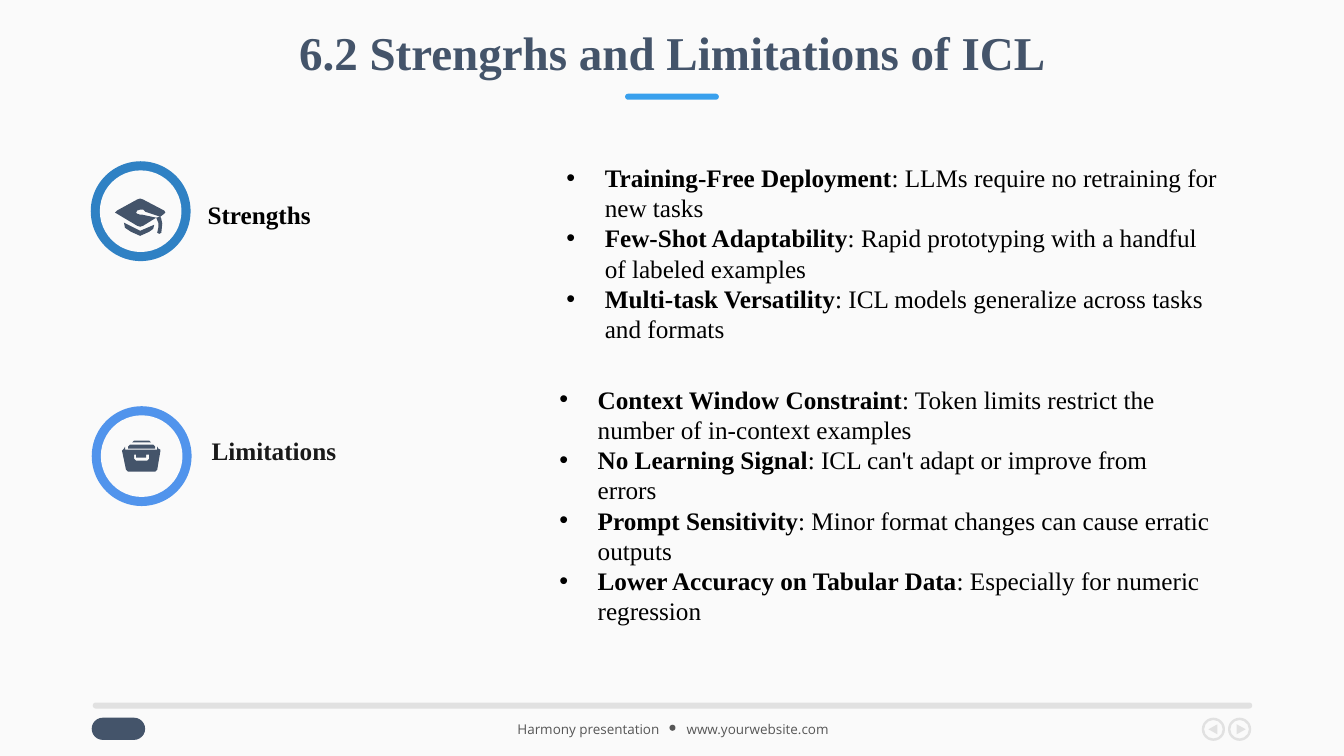
from dataclasses import dataclass

from lxml.etree import SubElement
from pptx import Presentation
from pptx.dml.color import RGBColor
from pptx.enum.shapes import MSO_SHAPE
from pptx.enum.text import MSO_ANCHOR, MSO_AUTO_SIZE, PP_ALIGN
from pptx.oxml.ns import qn
from pptx.shapes.autoshape import Shape
from pptx.slide import Slide
from pptx.text.text import TextFrame
from pptx.util import Emu, Pt

PX = 9144
SLATE, PAPER, SILVER, GREY, BLACK = "44546A", "FAFAFA", "E1E1E1", "565656", "000000"
SERIF, SANS = "Times New Roman", "Open Sans"
INDENT = 38

Contour = list[tuple[int, int]]


@dataclass
class Box:
    left: int
    top: int
    width: int
    height: int


@dataclass
class Preset:
    kind: MSO_SHAPE
    box: Box
    color: str
    adjustment: float | None = None
    rotation: int = 0


@dataclass
class Label:
    text: str
    box: Box
    size: float
    color: str
    font: str = SERIF
    bold: bool = True
    align: PP_ALIGN = PP_ALIGN.LEFT
    spacing: float | None = None
    anchor: MSO_ANCHOR = MSO_ANCHOR.TOP
    inset: int = 10


@dataclass
class Point:
    term: str
    detail: str


@dataclass
class Section:
    heading: Label
    ring: Box
    ring_color: str
    icon: list[Contour]
    body: Box
    points: list[Point]


def px(length: int) -> Emu:
    return Emu(length * PX)


def rgb(color: str) -> RGBColor:
    return RGBColor.from_string(color)


def paint(shape: Shape, color: str) -> None:
    shape.shadow.inherit = False
    shape.fill.solid()
    shape.fill.fore_color.rgb = rgb(color)
    shape.line.fill.background()


def place(box: Box) -> tuple[Emu, Emu, Emu, Emu]:
    return px(box.left), px(box.top), px(box.width), px(box.height)


def draw_preset(slide: Slide, preset: Preset) -> None:
    shape = slide.shapes.add_shape(preset.kind, *place(preset.box))
    paint(shape, preset.color)
    shape.rotation = preset.rotation
    if preset.adjustment is not None:
        shape.adjustments[0] = preset.adjustment


def draw_icon(slide: Slide, contours: list[Contour]) -> None:
    builder = slide.shapes.build_freeform(*contours[0][0], scale=PX)
    for contour in contours:
        builder.move_to(*contour[0])
        builder.add_line_segments(contour[1:], close=True)
    paint(builder.convert_to_shape(), SLATE)


def add_frame(slide: Slide, box: Box) -> TextFrame:
    frame = slide.shapes.add_textbox(*place(box)).text_frame
    frame.word_wrap = True
    return frame


def add_run(paragraph, text: str, size: float, color: str, font: str, bold: bool) -> None:
    run = paragraph.add_run()
    run.text = text
    run.font.size = Pt(size)
    run.font.color.rgb = rgb(color)
    run.font.name = font
    run.font.bold = bold


def draw_label(slide: Slide, label: Label) -> None:
    frame = add_frame(slide, label.box)
    frame.vertical_anchor = label.anchor
    frame.margin_left = frame.margin_right = px(label.inset)
    paragraph = frame.paragraphs[0]
    paragraph.alignment = label.align
    paragraph.line_spacing = label.spacing
    add_run(paragraph, label.text, label.size, label.color, label.font, label.bold)


def draw_points(slide: Slide, box: Box, points: list[Point]) -> None:
    frame = add_frame(slide, box)
    frame.auto_size = MSO_AUTO_SIZE.SHAPE_TO_FIT_TEXT
    for index, point in enumerate(points):
        paragraph = frame.add_paragraph() if index else frame.paragraphs[0]
        properties = paragraph._p.get_or_add_pPr()
        properties.set("marL", str(px(INDENT)))
        properties.set("indent", str(-px(INDENT)))
        SubElement(properties, qn("a:buFont"), typeface="Arial")
        SubElement(properties, qn("a:buChar"), char="•")
        add_run(paragraph, point.term, 18, BLACK, SERIF, True)
        add_run(paragraph, f": {point.detail}", 18, BLACK, SERIF, False)


def draw_section(slide: Slide, section: Section) -> None:
    ring = section.ring
    hole = Box(ring.left + 9, ring.top + 9, ring.width - 18, ring.height - 18)
    draw_preset(slide, Preset(MSO_SHAPE.OVAL, ring, section.ring_color))
    draw_preset(slide, Preset(MSO_SHAPE.OVAL, hole, PAPER))
    draw_icon(slide, section.icon)
    draw_label(slide, section.heading)
    draw_points(slide, section.body, section.points)


CAP = [
    [(123, 221), (124, 226), (130, 230), (139, 234), (148, 230), (152, 227), (153, 223), (139, 229)],
    [(163, 209), (142, 198), (139, 197), (136, 198), (116, 209), (114, 211), (116, 212), (136, 224),
     (139, 225), (142, 224), (155, 216), (141, 213), (139, 213), (136, 212), (135, 211), (136, 209),
     (139, 208), (142, 208), (144, 210), (159, 215), (163, 212), (164, 211)],
    [(156, 231), (158, 232), (160, 231), (161, 222), (160, 217), (159, 215), (155, 216), (157, 221),
     (157, 226)],
]
DRAWER = [
    [(154, 443), (152, 441), (129, 441), (127, 443), (127, 445), (154, 445)],
    [(148, 437), (133, 437), (131, 439), (150, 439)],
    [(157, 445), (156, 443), (156, 446), (124, 446), (124, 443), (123, 445), (121, 447), (125, 466),
     (127, 468), (154, 468), (156, 466), (159, 448), (159, 446)],
    [(148, 455), (146, 457), (135, 457), (133, 455), (133, 451), (135, 451), (135, 454), (145, 454),
     (145, 451), (148, 451)],
]
PRESETS = [
    Preset(MSO_SHAPE.ROUNDED_RECTANGLE, Box(91, 712, 53, 22), SLATE, 0.5),
    Preset(MSO_SHAPE.ROUNDED_RECTANGLE, Box(620, 93, 93, 6), "39A0ED", 0.5),
    Preset(MSO_SHAPE.ROUNDED_RECTANGLE, Box(92, 697, 1150, 6), SILVER, 0.5),
    Preset(MSO_SHAPE.OVAL, Box(664, 719, 6, 6), GREY),
]
for left, rotation in ((1192, -90), (1218, 90)):
    nudge = 6 if rotation < 0 else 8
    PRESETS += [
        Preset(MSO_SHAPE.DONUT, Box(left, 712, 23, 23), SILVER, 0.1),
        Preset(MSO_SHAPE.ISOSCELES_TRIANGLE, Box(left + nudge, 719, 10, 9), SILVER, rotation=rotation),
    ]
LABELS = [
    Label("6.2 Strengrhs and Limitations of ICL", Box(92, 27, 1150, 56), 33.6, SLATE,
          align=PP_ALIGN.CENTER, spacing=0.9, anchor=MSO_ANCHOR.MIDDLE),
    Label("Harmony presentation", Box(478, 702, 176, 34), 9.6, GREY, SANS, False,
          PP_ALIGN.RIGHT, 1.5, inset=0),
    Label("www.yourwebsite.com", Box(681, 702, 177, 34), 9.6, GREY, SANS, False,
          spacing=1.5, inset=0),
]
SECTIONS = [
    Section(Label("Strengths", Box(196, 193, 281, 40), 18, BLACK),
            Box(90, 160, 99, 99), "2F81C4", CAP, Box(552, 156, 667, 192), [
        Point("Training-Free Deployment", "LLMs require no retraining for new tasks"),
        Point("Few-Shot Adaptability", "Rapid prototyping with a handful of labeled examples"),
        Point("Multi-task Versatility", "ICL models generalize across tasks and formats"),
    ]),
    Section(Label("Limitations", Box(200, 427, 281, 40), 18, "191919"),
            Box(91, 403, 99, 99), "5194EC", DRAWER, Box(545, 376, 667, 252), [
        Point("Context Window Constraint", "Token limits restrict the number of in-context examples"),
        Point("No Learning Signal", "ICL can't adapt or improve from errors"),
        Point("Prompt Sensitivity", "Minor format changes can cause erratic outputs"),
        Point("Lower Accuracy on Tabular Data", "Especially for numeric regression"),
    ]),
]


def main() -> None:
    presentation = Presentation()
    presentation.slide_width, presentation.slide_height = px(1333), px(750)
    slide = presentation.slides.add_slide(presentation.slide_layouts[6])
    slide.background.fill.solid()
    slide.background.fill.fore_color.rgb = rgb(PAPER)
    for preset in PRESETS:
        draw_preset(slide, preset)
    for label in LABELS:
        draw_label(slide, label)
    for section in SECTIONS:
        draw_section(slide, section)
    presentation.save("out.pptx")


if __name__ == "__main__":
    main()
